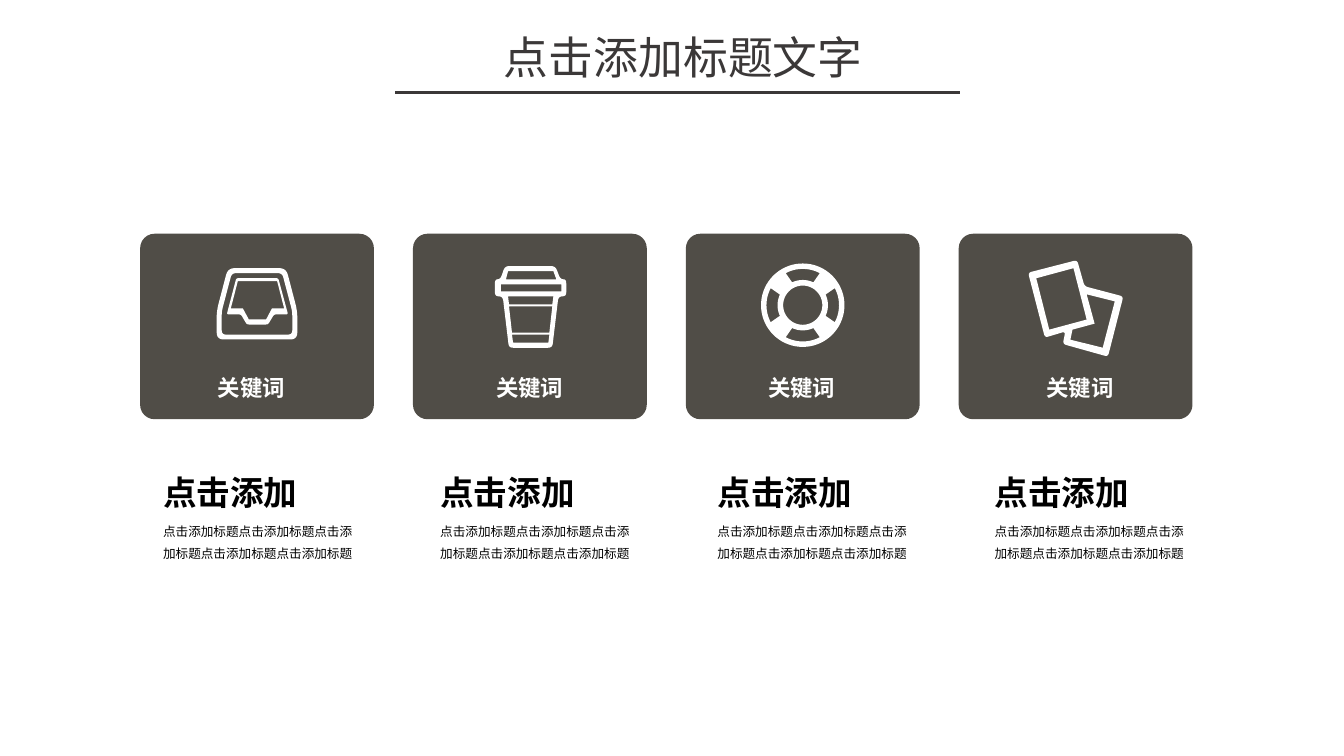
from dataclasses import dataclass
from math import cos, radians, sin

from lxml.etree import SubElement
from pptx import Presentation
from pptx.dml.color import RGBColor
from pptx.enum.shapes import MSO_CONNECTOR, MSO_SHAPE
from pptx.enum.text import MSO_ANCHOR, MSO_AUTO_SIZE, PP_ALIGN
from pptx.oxml.ns import qn
from pptx.util import Pt


@dataclass(frozen=True)
class Theme:
    font: str = "Noto Sans CJK SC"
    ink: RGBColor = RGBColor(0x3B, 0x38, 0x38)
    card: RGBColor = RGBColor(0x50, 0x4D, 0x47)
    white: RGBColor = RGBColor(0xFF, 0xFF, 0xFF)
    black: RGBColor = RGBColor(0, 0, 0)
    title_size: int = 32
    heading_size: int = 24
    keyword_size: int = 16
    detail_size: int = 9


THEME = Theme()
CARD_LEFT, CARD_TOP, CARD_WIDTH, CARD_HEIGHT, CARD_PITCH = 100.1, 167, 167, 132.5, 194.9
DETAIL_LEFT, DETAIL_PITCH = 109.4, 198
DETAIL = "点击添加标题" * 5


def rounded(corners, radius):
    """Return the outline with each corner replaced by a short curve."""
    outline = []
    for index, (x, y) in enumerate(corners):
        ends = []
        for nx, ny in (corners[index - 1], corners[(index + 1) % len(corners)]):
            length = ((nx - x) ** 2 + (ny - y) ** 2) ** 0.5
            share = min(radius / length, 0.5)
            ends.append((x + (nx - x) * share, y + (ny - y) * share))
        (ax, ay), (bx, by) = ends
        for step in range(6):
            t = step / 5
            outline.append(((1 - t) ** 2 * ax + 2 * t * (1 - t) * x + t * t * bx,
                            (1 - t) ** 2 * ay + 2 * t * (1 - t) * y + t * t * by))
    return outline


def arc(center, radius, start, end, steps=16):
    angles = [radians(start + (end - start) * i / steps) for i in range(steps + 1)]
    return [(center + radius * cos(a), center + radius * sin(a)) for a in angles]


def tray():
    return [
        rounded([(8, 0), (49.6, 0), (57.6, 30.6), (57.6, 51), (0, 51), (0, 30.6)], 5),
        rounded([(10.8, 3.6), (46.8, 3.6), (54, 31), (54, 47.5), (3.6, 47.5), (3.6, 31)], 3),
        rounded([(14, 7.2), (44, 7.2), (51, 33.1), (41, 33.1), (36.7, 40.3),
                 (21.6, 40.3), (17.3, 33.1), (7.2, 33.1)], 1.5),
        [(15.1, 9.4), (43.2, 9.4), (48.2, 28.8), (39.5, 28.8), (35.3, 36.7),
         (23, 36.7), (18.7, 28.8), (10.1, 28.8)],
    ]


def cup():
    return [
        rounded([(7.2, 0), (43.2, 0), (46.8, 9.4), (51, 9.4), (51, 21.6), (45.4, 21.6),
                 (41, 58.3), (10, 58.3), (5.6, 21.6), (0, 21.6), (0, 9.4), (3.9, 9.4)], 3),
        [(9.4, 3.6), (41.8, 3.6), (43.9, 9.4), (7.9, 9.4)],
        [(4.3, 13), (47.5, 13), (47.5, 18), (4.3, 18)],
        [(9.4, 21.6), (41.8, 21.6), (41, 27.4), (10.1, 27.4)],
        [(10.1, 28.8), (41, 28.8), (38.9, 47.5), (12.2, 47.5)],
        [(12.2, 49), (38.9, 49), (38.2, 54.7), (13, 54.7)],
    ]


def lifebuoy():
    center = 29.8
    windows = [arc(center, 25.9, turn - 28, turn + 28) + arc(center, 18, turn + 25, turn - 25)
               for turn in range(0, 360, 90)]
    return [arc(center, 29.8, 0, 360, 72), arc(center, 14, 0, 360, 48), *windows]


def photos():
    return [
        rounded([(0, 9), (35, 0), (40.3, 18.7), (68, 26), (57, 69),
                 (24.8, 60), (26.6, 51), (12, 55.4)], 2.5),
        [(5.8, 13), (32.4, 5.8), (41.8, 42.5), (15.1, 49.7)],
        [(53.3, 62.6), (30.2, 56.9), (31.7, 49.7), (47.5, 45.4), (41.8, 24.5), (61.9, 29.5)],
    ]


def paint(shape, color):
    shape.shadow.inherit = False
    shape.fill.solid()
    shape.fill.fore_color.rgb = color
    shape.line.fill.background()


def add_icon(page, contours, left, top):
    outlines = [[(Pt(x), Pt(y)) for x, y in contour] for contour in contours]
    builder = page.shapes.build_freeform(*outlines[0][0])
    for index, (start, *others) in enumerate(outlines):
        if index:
            builder.move_to(*start)
        builder.add_line_segments(others, close=True)
    paint(builder.convert_to_shape(Pt(left), Pt(top)), THEME.white)


def add_card(page, left):
    card = page.shapes.add_shape(MSO_SHAPE.ROUNDED_RECTANGLE, Pt(left), Pt(CARD_TOP),
                                 Pt(CARD_WIDTH), Pt(CARD_HEIGHT))
    card.adjustments[0] = 0.078
    paint(card, THEME.card)


def write(box, text, size, color, bold=False, para_format=None, frame_format=None):
    frame = box.text_frame
    layout = {"word_wrap": True, "auto_size": MSO_AUTO_SIZE.NONE,
              "vertical_anchor": MSO_ANCHOR.TOP, **(frame_format or {})}
    for name, value in layout.items():
        setattr(frame, name, value)
    para = frame.paragraphs[0]
    for name, value in (para_format or {}).items():
        setattr(para, name, value)
    span = para.add_run()
    span.text = text
    for name, value in {"size": Pt(size), "bold": bold, "name": THEME.font}.items():
        setattr(span.font, name, value)
    span.font.color.rgb = color
    SubElement(span.font._element, qn("a:ea")).set("typeface", THEME.font)


def add_text(page, bounds, *args, **formats):
    write(page.shapes.add_textbox(*map(Pt, bounds)), *args, **formats)


def add_title(page, text):
    title = page.shapes.title
    bounds = {"left": 270, "top": 17.3, "width": 436.3, "height": 46.1}
    for name, value in bounds.items():
        setattr(title, name, Pt(value))
    write(title, text, THEME.title_size, THEME.ink, para_format={"alignment": PP_ALIGN.CENTER})
    rule = page.shapes.add_connector(MSO_CONNECTOR.STRAIGHT, Pt(282.2), Pt(66.2),
                                     Pt(685.4), Pt(66.2))
    rule.line.color.rgb = THEME.ink
    rule.line.width = Pt(2)
    SubElement(rule._element.spPr, qn("a:effectLst"))


def add_keyword(page, left):
    no_margins = {f"margin_{side}": 0 for side in ("left", "top", "right", "bottom")}
    add_text(page, (left, 267.1, 94.3, 19.4), "关键词", THEME.keyword_size, THEME.white,
             bold=True, para_format={"alignment": PP_ALIGN.CENTER}, frame_format=no_margins)


def add_detail(page, left):
    add_text(page, (left, 333.4, 111.6, 36), "点击添加", THEME.heading_size, THEME.black,
             bold=True, frame_format={"word_wrap": False})
    add_text(page, (left, 365, 152, 38.2), DETAIL, THEME.detail_size, THEME.black,
             para_format={"line_spacing": 1.5})


def main():
    deck = Presentation()
    deck.slide_width, deck.slide_height = Pt(960), Pt(540)
    page = deck.slides.add_slide(deck.slide_layouts[5])
    add_title(page, "点击添加标题文字")
    columns = [
        (tray(), 154.8, 191.5, 132.5),
        (cup(), 353.5, 190.1, 331.2),
        (lifebuoy(), 543.6, 188.2, 525.6),
        (photos(), 734.4, 185.8, 724.3),
    ]
    for index, (icon, icon_left, icon_top, keyword_left) in enumerate(columns):
        add_card(page, CARD_LEFT + index * CARD_PITCH)
        add_icon(page, icon, icon_left, icon_top)
        add_keyword(page, keyword_left)
        add_detail(page, DETAIL_LEFT + index * DETAIL_PITCH)
    deck.save("out.pptx")


if __name__ == "__main__":
    main()
